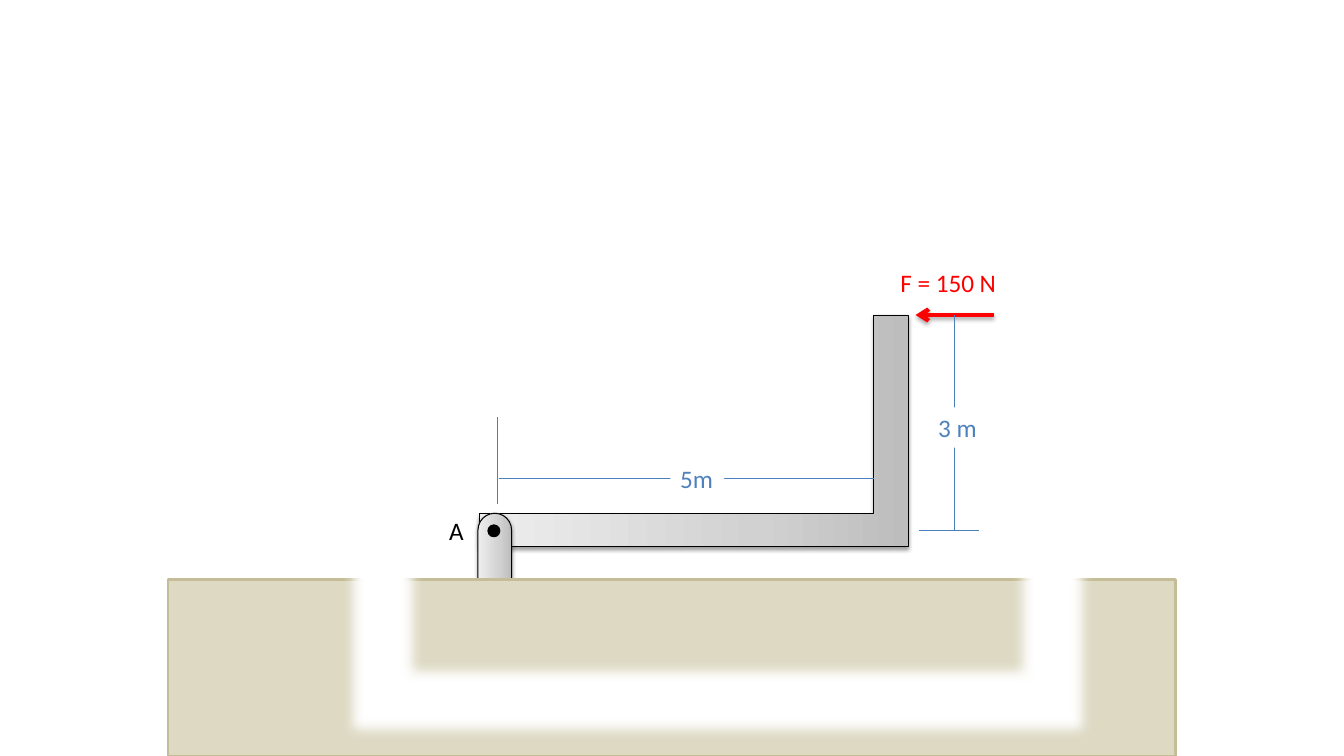
"""Build a slide of a hinged L-shaped bar with a side force and its dimensions."""
from copy import deepcopy
from lxml import etree
from pptx import Presentation
from pptx import util as u
from pptx.dml.color import RGBColor
from pptx.enum import shapes, text
from pptx.oxml.ns import qn

HUE = {"black": "000000", "white": "FFFFFF", "red": "FF0000", "rule": "4B7EBC",
       "size": "4F81BD", "sand": "DDD9C3", "edge": "C4BD97",
       "dark": "BDBDBD", "mid": "D1D1D1", "light": "EEEEEE"}
RGB = {name: RGBColor.from_string(code) for name, code in HUE.items()}
KIND = shapes.MSO_SHAPE

deck = Presentation()
deck.slide_width, deck.slide_height = u.Inches(40 / 3), u.Inches(7.5)
slide = deck.slides.add_slide(deck.slide_layouts[6])
unit = deck.slide_width / 160


def grid(*cells):
    return [round(cell * unit) for cell in cells]


def shade(item, alpha, dist):
    props = item._element.spPr
    fx = props.find(qn("a:effectLst"))
    if fx is None:
        fx = etree.SubElement(props, qn("a:effectLst"))
    cast = etree.SubElement(fx, qn("a:outerShdw"), blurRad="40000", dist=str(dist),
                            dir="5400000", rotWithShape="0")
    tint = etree.SubElement(cast, qn("a:srgbClr"), val=HUE["black"])
    etree.SubElement(tint, qn("a:alpha"), val=str(alpha * 1000))


parts = [
    (KIND.CORNER, (68.8, 25.8, 27.6, 51), (0.149, 0.142), "steel", "black", 0.75),
    (KIND.ROUNDED_RECTANGLE, (53.2, 64.8, 11.4, 4), (0.5,), "steel", "black", 0.75),
    (KIND.OVAL, (58.2, 62.6, 1.2, 1.2), (), "black", "black", 2),
    (KIND.RECTANGLE, (20, 69, 120, 21), (), "sand", "edge", 2),
    (KIND.FRAME, (41, 9, 89, 79), (0.118,), "white", "white", 2),
]
for kind, box, bends, fill, edge, width in parts:
    part = slide.shapes.add_shape(kind, *grid(*box))
    part.shadow.inherit = False
    for i, bend in enumerate(bends):
        part.adjustments[i] = bend
    part.line.color.rgb = RGB[edge]
    part.line.width = u.Pt(width)
    if fill == "steel":
        part.rotation = 270
        part.fill.gradient()
        part.fill.gradient_angle = 90
        stops = part._element.spPr.find(".//" + qn("a:gsLst"))
        stops.insert(1, deepcopy(stops[0]))
        blend = zip(part.fill.gradient_stops, (0, 0.35, 1), ("dark", "mid", "light"))
        for stop, place, tone in blend:
            stop.position = place
            stop.color.rgb = RGB[tone]
        shade(part, 38, 20000)
    else:
        part.fill.solid()
        part.fill.fore_color.rgb = RGB[fill]
    if kind == KIND.FRAME:
        fx = part._element.spPr.find(qn("a:effectLst"))
        etree.SubElement(fx, qn("a:softEdge"), rad="112500")

top, base, mast = 37.5, 63.2, 113.6
lines = [
    ((118.3, top, 109, top), "red", 3),
    ((59.2, 49.7, 59.2, 60), "rule", 0.75),
    ((59.4, 57, 104, 57), "rule", 0.75),
    ((109.4, base, 116.6, base), "rule", 0.75),
    ((mast, top, mast, base), "rule", 0.75),
]
for ends, tone, width in lines:
    line = slide.shapes.add_connector(shapes.MSO_CONNECTOR.STRAIGHT, *grid(*ends))
    line.line.color.rgb = RGB[tone]
    line.line.width = u.Pt(width)
    if tone == "red":
        etree.SubElement(line.line._get_or_add_ln(), qn("a:tailEnd"), type="arrow")
        shade(line, 35, 23000)
    else:
        etree.SubElement(line._element.spPr, qn("a:effectLst"))

labels = [
    ("A", (52.3, 60.8, 4.2), "black", False),
    ("5m", (79.8, 54.6, 6.4), "size", True),
    ("3 m", (110.5, 48.5, 7.1), "size", True),
    ("F = 150 N", (106, 31.2, 13.9), "red", False),
]
for words, box, tone, solid in labels:
    label = slide.shapes.add_textbox(*grid(*box, 4.8))
    if solid:
        label.fill.solid()
        label.fill.fore_color.rgb = RGB["white"]
    frame = label.text_frame
    frame.word_wrap = False
    frame.auto_size = text.MSO_AUTO_SIZE.SHAPE_TO_FIT_TEXT
    run = frame.paragraphs[0].add_run()
    run.text = words
    run.font.name, run.font.size = "Calibri", u.Pt(18)
    run.font.color.rgb = RGB[tone]

deck.save("out.pptx")
